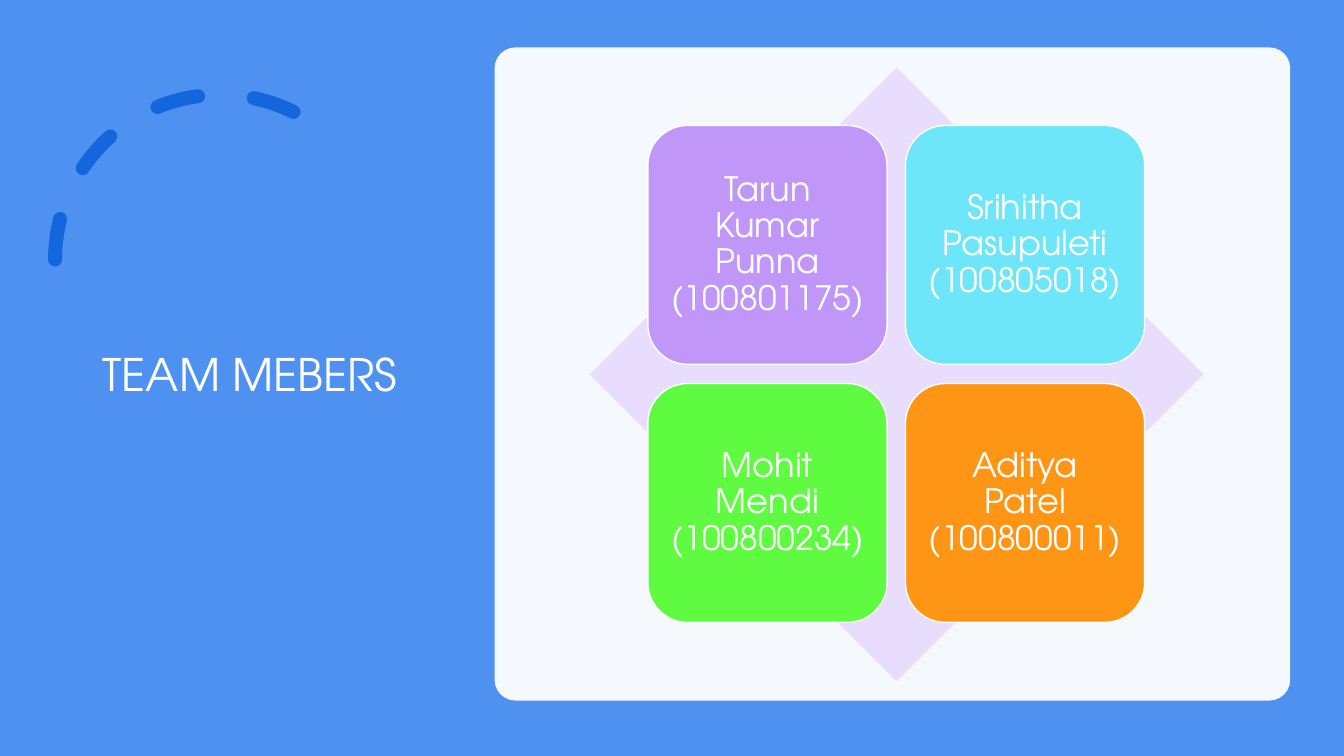
import pptx
import pptx.util
import pptx.dml.color
import pptx.enum.dml
import pptx.enum.shapes
import pptx.enum.text
import pptx.oxml.ns
import lxml.etree

MSO = pptx.enum.shapes.MSO_SHAPE
ALIGN = pptx.enum.text.PP_ALIGN
COLORS = {
    "blue": "4E91F0", "arc": "1366DC", "white": "FFFFFF", "diamond": "E8DDFC",
    "purple": "C097F8", "cyan": "6DE6F9", "green": "5FFB41", "orange": "FF9514",
}


def rgb(name):
    return pptx.dml.color.RGBColor.from_string(COLORS[name])


class Deck:
    """Holds the style and the current slide; boxes are percent of slide size."""

    font = "TeX Gyre Adventor"

    def __init__(self):
        self.prs = pptx.Presentation()
        self.prs.slide_width = pptx.util.Inches(13.33)
        self.prs.slide_height = pptx.util.Inches(7.5)
        self.slide = self.prs.slides.add_slide(self.prs.slide_layouts[5])

    def box(self, x, y, w, h):
        sw, sh = self.prs.slide_width, self.prs.slide_height
        return [int(v * side / 100) for v, side in ((x, sw), (y, sh), (w, sw), (h, sh))]

    def shape(self, kind, box, fill=None, line=None, width=1, adj=(), alpha=None):
        sp = self.slide.shapes.add_shape(kind, *self.box(*box))
        sp.shadow.inherit = False
        for i, value in enumerate(adj):
            sp.adjustments[i] = value
        if fill:
            sp.fill.solid()
            sp.fill.fore_color.rgb = rgb(fill)
        else:
            sp.fill.background()
        if line:
            sp.line.color.rgb = rgb(line)
            sp.line.width = pptx.util.Pt(width)
        else:
            sp.line.fill.background()
        if alpha:
            qn = pptx.oxml.ns.qn
            clr = sp._element.spPr.find(qn("a:solidFill")).find(qn("a:srgbClr"))
            lxml.etree.SubElement(clr, qn("a:alpha")).set("val", str(alpha * 1000))
        return sp

    def dashed_arc(self, box, adj):
        sp = self.shape(MSO.ARC, box, line="arc", width=10, adj=adj)
        sp.line.dash_style = pptx.enum.dml.MSO_LINE.DASH
        qn = pptx.oxml.ns.qn
        sp._element.spPr.find(qn("a:ln")).set("cap", "rnd")
        sp._element.spPr.find(qn("a:xfrm")).set("flipH", "1")

    def text(self, sp, text, size, align):
        tf = sp.text_frame
        frame = {"word_wrap": True,
                 "auto_size": pptx.enum.text.MSO_AUTO_SIZE.NONE,
                 "vertical_anchor": pptx.enum.text.MSO_ANCHOR.MIDDLE}
        for side in ("left", "right", "top", "bottom"):
            frame["margin_" + side] = pptx.util.Inches(0.1)
        p = tf.paragraphs[0]
        r = p.add_run()
        r.text = text
        formats = ((tf, frame),
                   (p, {"alignment": align, "line_spacing": 0.9}),
                   (r.font, {"name": self.font, "size": pptx.util.Pt(size)}),
                   (r.font.color, {"rgb": rgb("white")}))
        for target, values in formats:
            for key, value in values.items():
                setattr(target, key, value)

    def title(self, box, text):
        sp = self.slide.shapes.title
        sp.left, sp.top, sp.width, sp.height = self.box(*box)
        self.text(sp, text, 32, ALIGN.LEFT)
        # Bring the title in front of the backdrop
        self.slide.shapes._spTree.append(sp._element)

    def tile(self, box, text, fill):
        sp = self.shape(MSO.ROUNDED_RECTANGLE, box, fill, "white")
        self.text(sp, text, 24, ALIGN.CENTER)


def main():
    deck = Deck()

    # Backdrop, arc and title
    deck.shape(MSO.RECTANGLE, (0, 0, 100, 100), "blue")
    deck.dashed_arc((4.1, 12.53, 24.55, 43.6), (146.13, 0))
    deck.title((6.9, 9.33, 24.2, 81.2), "TEAM MEBERS")

    # Panel and diamond
    deck.shape(MSO.ROUNDED_RECTANGLE, (36.8, 6.27, 59.2, 86.4), "white",
               adj=(0.032,), alpha=95)
    deck.shape(MSO.DIAMOND, (43.87, 8.93, 45.67, 81.2), "diamond")

    # Team members, two by two
    members = (("Tarun Kumar Punna (100801175)", "purple"),
               ("Srihitha Pasupuleti (100805018)", "cyan"),
               ("Mohit Mendi (100800234)", "green"),
               ("Aditya Patel (100800011)", "orange"))
    for i, (name, fill) in enumerate(members):
        row, col = divmod(i, 2)
        deck.tile((48.2 + col * 19.17, 16.6 + row * 34.13, 17.8, 31.6), name, fill)

    deck.prs.save("out.pptx")


if __name__ == "__main__":
    main()
